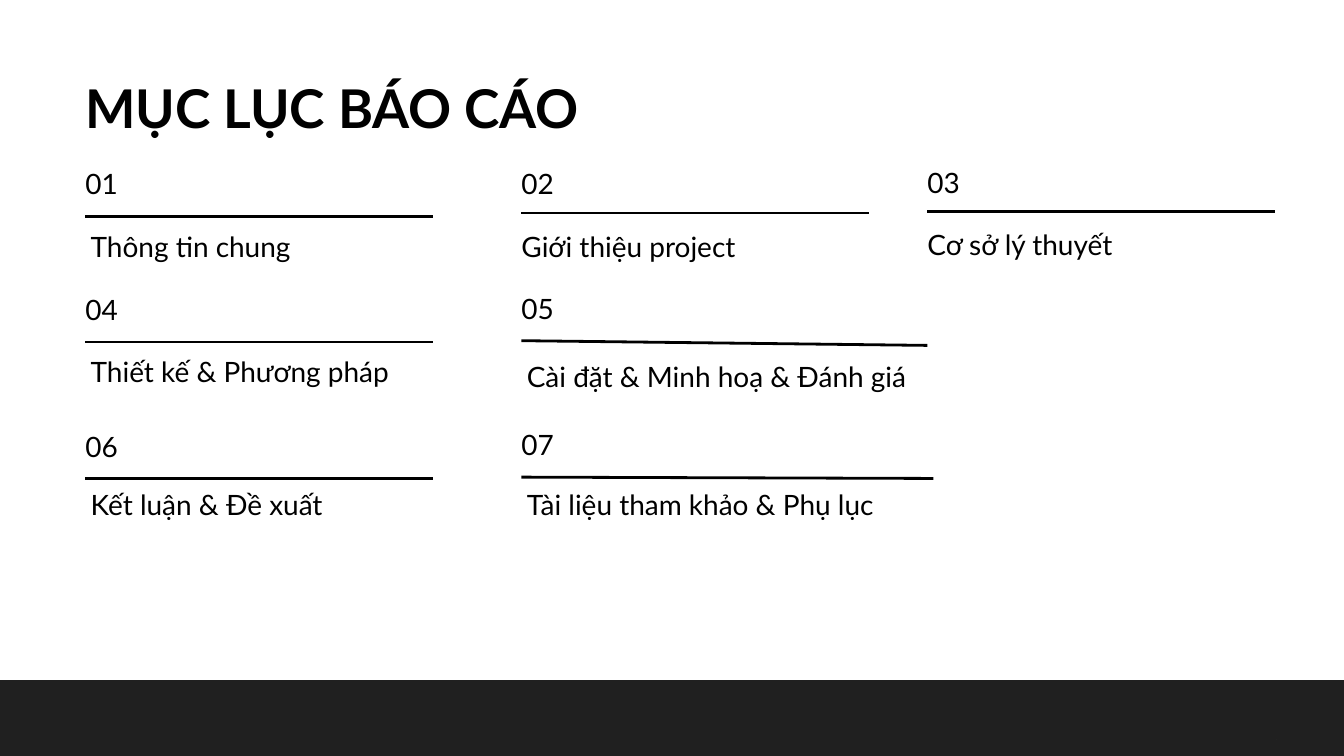
from dataclasses import dataclass

from lxml import etree
from pptx import Presentation
from pptx.dml.color import RGBColor
from pptx.enum.shapes import MSO_CONNECTOR, MSO_SHAPE
from pptx.enum.text import MSO_ANCHOR, MSO_AUTO_SIZE, PP_ALIGN
from pptx.oxml.ns import qn
from pptx.util import Inches, Pt

LINE, RECT = MSO_CONNECTOR.STRAIGHT, MSO_SHAPE.RECTANGLE
TOP, NO_FIT = MSO_ANCHOR.TOP, MSO_AUTO_SIZE.NONE
LEFT, CENTER = PP_ALIGN.LEFT, PP_ALIGN.CENTER


@dataclass(frozen=True)
class Theme:
    font: str = "Lato"
    ink: RGBColor = RGBColor(0, 0, 0)
    paper: RGBColor = RGBColor(255, 255, 255)
    footer: RGBColor = RGBColor(0x20, 0x20, 0x20)
    title_size: float = 57.2
    title_leading: float = 68.7
    body_size: float = 30
    body_leading: float = 36
    rule: float = 3


THEME = Theme()

# Content: column, text, text indent, tops of number, rule and text, rule width, rule drop
TITLE = "MỤC LỤC BÁO CÁO"
SECTIONS = [
    (0, "Thông tin chung", 0.08, (2.48, 3.22, 3.42), 5.17, 0),
    (1, "Giới thiệu project", 0, (2.48, 3.17, 3.42), 5.17, 0),
    (2, "Cơ sở lý thuyết", 0, (2.46, 3.15, 3.39), 5.17, 0),
    (0, "Thiết kế & Phương pháp", 0.08, (4.36, 5.09, 5.28), 5.17, 0),
    (1, "Cài đặt & Minh hoạ & Đánh giá", 0.08, (4.34, 5.07, 5.35), 6.04, 0.07),
    (0, "Kết luận & Đề xuất", 0.08, (6.39, 7.12, 7.25), 5.17, 0),
    (1, "Tài liệu tham khảo & Phụ lục", 0.08, (6.36, 7.1, 7.25), 6.13, 0.02),
]

# Grid
COLUMNS = (1.27, 7.76, 13.8)
NUMBER_W, TEXT_W, TEXT_H = 3.42, 6.13, 0.52

# Upper half of the footer arrow, as offsets from its tail on the centre line
ARROW_TAIL = (18.88, 10.655)
ARROW_HALF = [(0, 0.015), (0.53, 0.015), (0.45, 0.075), (0.44, 0.09),
              (0.45, 0.105), (0.47, 0.105), (0.6, 0.015), (0.61, 0)]


def paint(sp, color):
    sp.shadow.inherit = False
    sp.fill.solid()
    sp.fill.fore_color.rgb = color
    sp.line.fill.background()


def write(sp, text, size, leading, align=LEFT, bold=False, indent=0):
    tf = sp.text_frame
    tf.text = text
    tf.word_wrap = True
    tf.auto_size = NO_FIT
    tf.vertical_anchor = TOP
    tf.margin_left = Inches(indent)
    tf.margin_right = tf.margin_top = tf.margin_bottom = 0
    p = tf.paragraphs[0]
    p.alignment = align
    p.line_spacing = Pt(leading)
    p.space_before = Pt(0)
    font = p.runs[0].font
    font.name, font.size, font.bold = THEME.font, Pt(size), bold
    font.color.rgb = THEME.ink


def add_body(slide, x, y, w, text, indent=0):
    box = slide.shapes.add_textbox(Inches(x), Inches(y), Inches(w), Inches(TEXT_H))
    write(box, text, THEME.body_size, THEME.body_leading, indent=indent)


def add_rule(slide, x, y, w, drop):
    rule = slide.shapes.add_connector(
        LINE, Inches(x), Inches(y), Inches(x + w), Inches(y + drop))
    rule.line.color.rgb = THEME.ink
    rule.line.width = Pt(THEME.rule)
    etree.SubElement(rule._element.spPr, qn("a:effectLst"))


def add_footer(slide):
    bar = slide.shapes.add_shape(
        RECT, Inches(-0.31), Inches(10.12), Inches(21.06), Inches(1.28))
    paint(bar, THEME.footer)
    x, y = ARROW_TAIL
    upper = [(x + dx, y - dy) for dx, dy in ARROW_HALF]
    lower = [(x + dx, y + dy) for dx, dy in reversed(ARROW_HALF)]
    outline = upper + lower
    builder = slide.shapes.build_freeform(*outline[0], scale=Inches(1))
    builder.add_line_segments(outline[1:], close=True)
    paint(builder.convert_to_shape(), THEME.paper)


def main():
    prs = Presentation()
    prs.slide_width, prs.slide_height = Inches(20), Inches(11.25)
    slide = prs.slides.add_slide(prs.slide_layouts[5])
    slide.background.fill.solid()
    slide.background.fill.fore_color.rgb = THEME.paper

    add_footer(slide)

    # Title
    title = slide.shapes.title
    title.left, title.top = Inches(1.12), Inches(1.12)
    title.width, title.height = Inches(7.65), Inches(0.96)
    write(title, TITLE, THEME.title_size, THEME.title_leading, CENTER, True)

    # Numbered sections
    for i, (col, text, indent, tops, rule_w, drop) in enumerate(SECTIONS, 1):
        x = COLUMNS[col]
        number_y, rule_y, text_y = tops
        add_body(slide, x, number_y, NUMBER_W, f"{i:02d}")
        add_rule(slide, x, rule_y, rule_w, drop)
        add_body(slide, x, text_y, TEXT_W, text, indent)

    prs.save("out.pptx")


if __name__ == "__main__":
    main()
